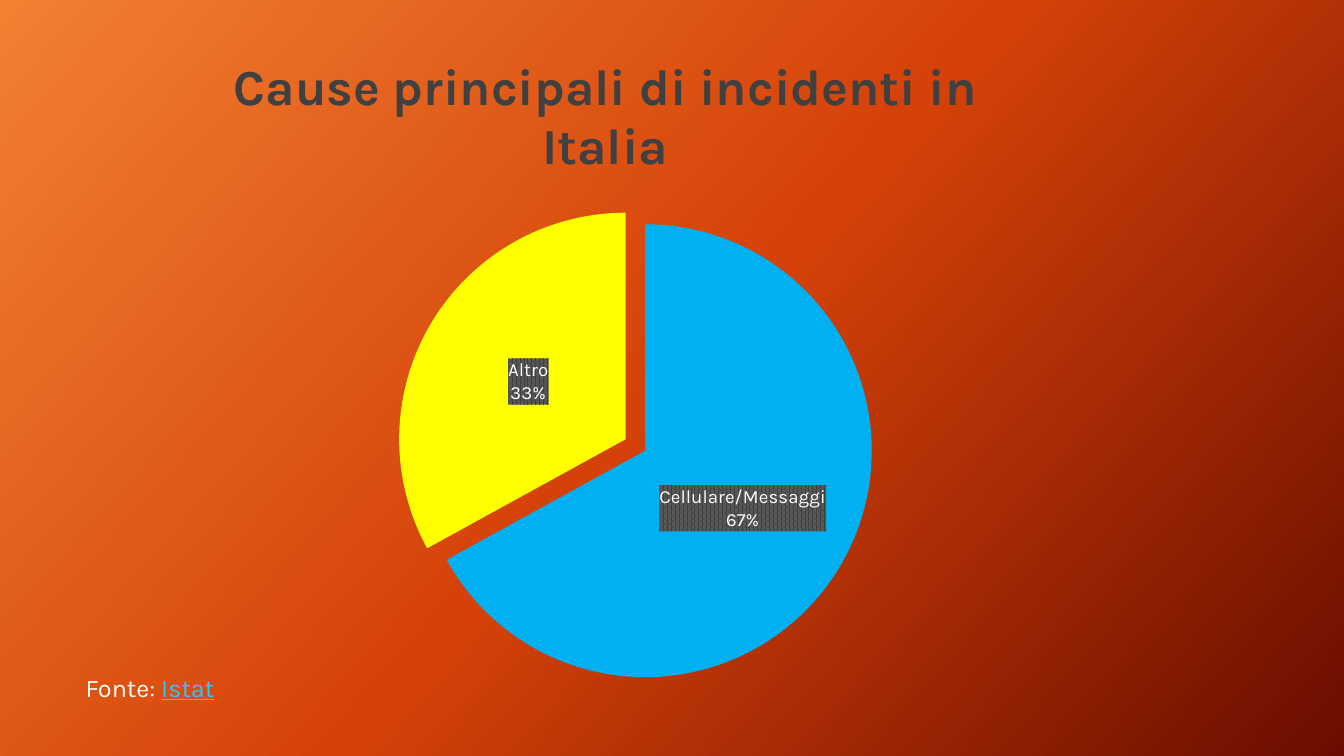
from copy import deepcopy
from dataclasses import dataclass

from lxml import etree
from pptx import Presentation
from pptx.chart.data import CategoryChartData
from pptx.dml.color import RGBColor
from pptx.enum.chart import XL_CHART_TYPE as ChartType, XL_LABEL_POSITION as LabelPosition
from pptx.enum.text import MSO_AUTO_SIZE as AutoSize
from pptx.oxml import parse_xml
from pptx.oxml.ns import nsdecls, qn
from pptx.util import Inches, Pt

FONT = "Karla"
WHITE = RGBColor(0xFF, 0xFF, 0xFF)
CHARCOAL = RGBColor(0x40, 0x40, 0x40)
STRIPE_GRAY = RGBColor(0x59, 0x59, 0x59)
SKY = RGBColor(0x00, 0xB0, 0xF0)
YELLOW = RGBColor(0xFF, 0xFF, 0x00)
LINK_BLUE = RGBColor(0x22, 0xCE, 0xFF)
BACKGROUND_COLORS = (
    RGBColor(0xF1, 0x80, 0x31),
    RGBColor(0xD5, 0x42, 0x09),
    RGBColor(0x6A, 0x0D, 0x00),
)


@dataclass(frozen=True)
class Cause:
    label: str
    percent: int
    color: RGBColor
    explosion: int = 0


CAUSES = (
    Cause("Cellulare/Messaggi", 67, SKY),
    Cause("Altro", 33, YELLOW, explosion=10),
)


def style_font(font, color: RGBColor, **formats) -> None:
    font.color.rgb = color
    for name, value in ({"name": FONT} | formats).items():
        setattr(font, name, value)


def paint_background(slide) -> None:
    fill = slide.background.fill
    fill.gradient()
    fill.gradient_angle = 318
    stop_list = slide.element.find(".//" + qn("a:gsLst"))
    stop_list.insert(1, deepcopy(stop_list[0]))
    for index, (stop, color) in enumerate(zip(fill.gradient_stops, BACKGROUND_COLORS)):
        stop.color.rgb = color
        stop.position = index / 2


def manual_layout(target: str = "", **fractions: float):
    """Build a chart layout from fractions of the chart's width and height."""
    layout = parse_xml(f"<c:layout {nsdecls('c')}><c:manualLayout/></c:layout>")
    settings = {"layoutTarget": target} if target else {}
    settings |= {"xMode": "edge", "yMode": "edge"} | fractions
    for tag, value in settings.items():
        etree.SubElement(layout[0], qn(f"c:{tag}")).set("val", str(value))
    return layout


def add_chart_title(chart, text: str) -> None:
    frame = chart.chart_title.text_frame
    frame.text = text
    style_font(frame.paragraphs[0].runs[0].font, CHARCOAL, size=Pt(36), bold=True)
    title = chart.chart_title._element
    for old_layout in title.findall(qn("c:layout")):
        title.remove(old_layout)
    title.find(qn("c:tx")).addnext(manual_layout(x=0.11, y=-0.02))


def style_slice(point, cause: Cause) -> None:
    point.format.fill.solid()
    point.format.fill.fore_color.rgb = cause.color
    point.format.line.fill.background()
    if cause.explosion:
        shape_properties = point.format._element.find(qn("c:spPr"))
        shape_properties.addprevious(
            parse_xml(f'<c:explosion {nsdecls("c")} val="{cause.explosion}"/>'))


def label_slice(point, cause: Cause) -> None:
    label = point.data_label
    frame = label.text_frame
    frame.text = f"{cause.label}\n{cause.percent}%"
    for paragraph in frame.paragraphs:
        style_font(paragraph.runs[0].font, WHITE, size=Pt(13.3), bold=False)
    label.position = LabelPosition.CENTER
    label_text = frame._txBody.getparent()
    label_text.addnext(parse_xml(
        f'<c:spPr {nsdecls("c", "a")}><a:pattFill prst="pct75">'
        f'<a:fgClr><a:srgbClr val="{CHARCOAL}"/></a:fgClr>'
        f'<a:bgClr><a:srgbClr val="{STRIPE_GRAY}"/></a:bgClr>'
        "</a:pattFill><a:ln><a:noFill/></a:ln></c:spPr>"))


def add_causes_pie(slide) -> None:
    data = CategoryChartData()
    data.categories = [str(number) for number, _ in enumerate(CAUSES, 1)]
    data.add_series("Series 1", [cause.percent for cause in CAUSES])
    chart = slide.shapes.add_chart(
        ChartType.PIE, Inches(1.05), Inches(0.44), Inches(10.7), Inches(6.61), data).chart
    chart.has_legend = False
    style_font(chart.font, WHITE, size=Pt(10))
    add_chart_title(chart, "Cause principali di incidenti in Italia")

    plot = chart.plots[0]
    plot.vary_by_categories = True
    for index, cause in enumerate(CAUSES):
        point = plot.series[0].points[index]
        style_slice(point, cause)
        label_slice(point, cause)

    plot_area = chart._chartSpace.find(".//" + qn("c:plotArea"))
    for old_layout in plot_area.findall(qn("c:layout")):
        plot_area.remove(old_layout)
    plot_area.insert(0, manual_layout("inner", x=0.29, y=0.27, w=0.42, h=0.68))


def add_source_note(slide) -> None:
    frame = slide.shapes.add_textbox(
        Inches(0.75), Inches(6.62), Inches(1.52), Inches(0.4)).text_frame
    frame.word_wrap = False
    frame.auto_size = AutoSize.SHAPE_TO_FIT_TEXT
    for text, color, underline in (("Fonte: ", WHITE, False), ("Istat", LINK_BLUE, True)):
        run = frame.paragraphs[0].add_run()
        run.text = text
        style_font(run.font, color, size=Pt(18), underline=underline)


def main() -> None:
    presentation = Presentation()
    presentation.slide_width = Inches(13.33)
    presentation.slide_height = Inches(7.5)
    slide = presentation.slides.add_slide(presentation.slide_layouts[6])
    paint_background(slide)
    add_causes_pie(slide)
    add_source_note(slide)
    presentation.save("out.pptx")


if __name__ == "__main__":
    main()
